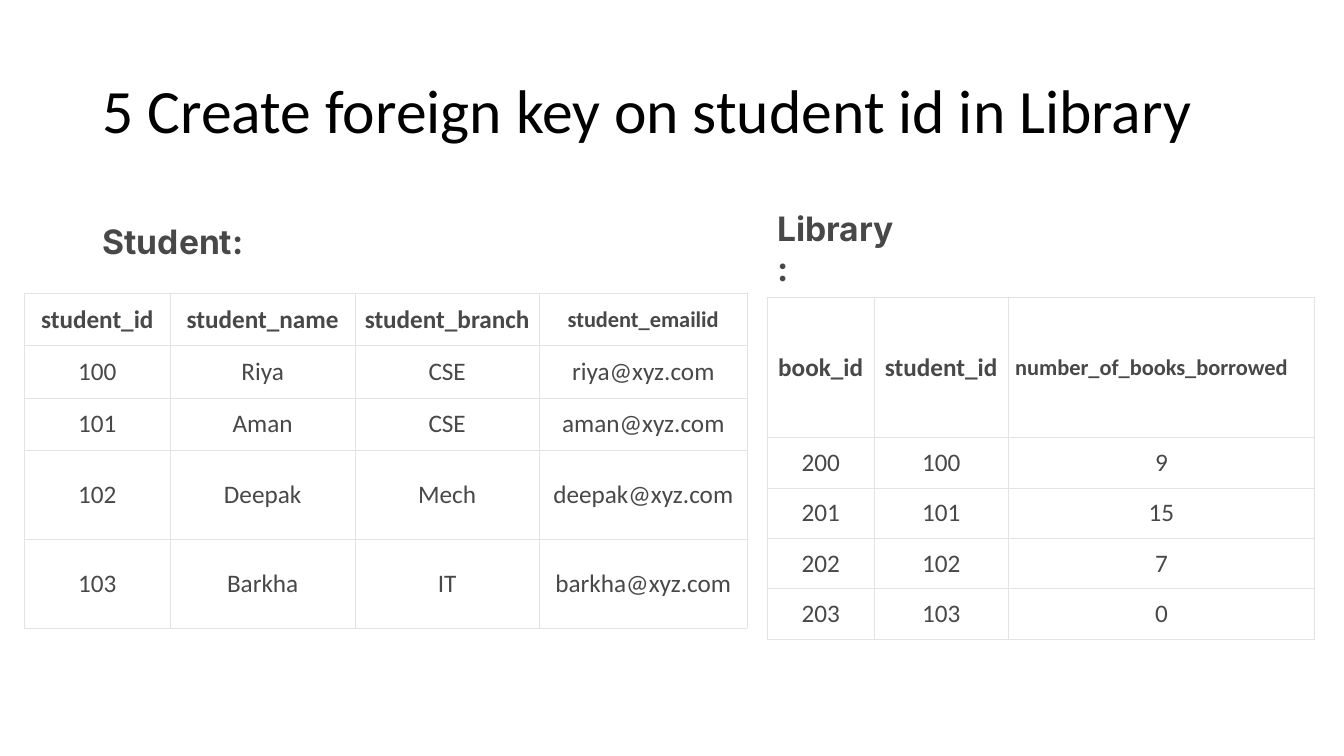
from dataclasses import dataclass

from lxml.etree import SubElement
from pptx import Presentation
from pptx.dml.color import RGBColor
from pptx.enum.text import MSO_ANCHOR as Anchor, MSO_AUTO_SIZE as AutoSize, PP_ALIGN as Align
from pptx.oxml.ns import qn
from pptx.util import Emu, Pt

PX = 9144  # 100 px to the inch


@dataclass(frozen=True)
class Theme:
    title_color: str = "000000"
    text_color: str = "484848"
    cell_fill: str = "FFFFFF"
    border_color: str = "E3E3E3"
    border_width: float = 0.5
    body_font: str = "Calibri"
    label_font: str = "Inter"
    title_size: int = 44
    label_size: int = 24
    cell_size: int = 18
    small_size: int = 16
    cell_inset: int = 7


def px(length):
    return Emu(length * PX)


def write(frame, text, *, font, size, color, bold=False, align=Align.LEFT,
          anchor=Anchor.MIDDLE, spacing=None):
    """Put one formatted paragraph into a text frame."""
    frame.word_wrap = True
    frame.vertical_anchor = anchor
    para = frame.paragraphs[0]
    para.alignment = align
    if spacing:
        para.line_spacing = spacing
    span = para.add_run()
    span.text = text
    span.font.name = font
    span.font.size = Pt(size)
    span.font.bold = bold
    span.font.color.rgb = RGBColor.from_string(color)


class SlideBuilder:
    def __init__(self, slide, theme):
        self.slide = slide
        self.theme = theme

    def text_box(self, text, place, **style):
        box = self.slide.shapes.add_textbox(*map(px, place))
        write(box.text_frame, text, **style)
        return box

    def title(self, text, place):
        theme = self.theme
        self.text_box(text, place, font=theme.body_font, size=theme.title_size,
                      color=theme.title_color, spacing=0.9)

    def label(self, text, place, anchor):
        theme = self.theme
        box = self.text_box(text, place, font=theme.label_font, size=theme.label_size,
                            color=theme.text_color, bold=True, anchor=anchor)
        box.text_frame.auto_size = AutoSize.SHAPE_TO_FIT_TEXT

    def table(self, left, top, widths, heights, records, last_header_align=Align.CENTER):
        place = (left, top, sum(widths), sum(heights))
        table = self.slide.shapes.add_table(
            len(heights), len(widths), *map(px, place)).table
        table.first_row = table.horz_banding = False
        for column, width in zip(table.columns, widths):
            column.width = px(width)
        for row, height in zip(table.rows, heights):
            row.height = px(height)
        for row_index, record in enumerate(records):
            for column_index, text in enumerate(record):
                header = row_index == 0
                last_header = header and column_index == len(widths) - 1
                self.cell(table.cell(row_index, column_index), text, bold=header,
                          size=self.theme.small_size if last_header else self.theme.cell_size,
                          align=last_header_align if last_header else Align.CENTER)

    def cell(self, cell, text, **style):
        theme = self.theme
        write(cell.text_frame, text, font=theme.body_font, color=theme.text_color, **style)
        cell.vertical_anchor = Anchor.MIDDLE
        inset = px(theme.cell_inset)
        cell.margin_left = cell.margin_right = inset
        cell.margin_top = cell.margin_bottom = inset
        cell.fill.solid()
        cell.fill.fore_color.rgb = RGBColor.from_string(theme.cell_fill)
        self.borders(cell)

    def borders(self, cell):
        properties = cell._tc.get_or_add_tcPr()
        for index, side in enumerate(("lnL", "lnR", "lnT", "lnB")):
            line = SubElement(properties, qn(f"a:{side}"), w=str(Pt(self.theme.border_width)))
            fill = SubElement(line, qn("a:solidFill"))
            SubElement(fill, qn("a:srgbClr"), val=self.theme.border_color)
            properties.insert(index, line)  # borders come before the fill


STUDENTS = [
    ("student_id", "student_name", "student_branch", "student_emailid"),
    ("100", "Riya", "CSE", "riya@xyz.com"),
    ("101", "Aman", "CSE", "aman@xyz.com"),
    ("102", "Deepak", "Mech", "deepak@xyz.com"),
    ("103", "Barkha", "IT", "barkha@xyz.com"),
]
LOANS = [
    ("book_id", "student_id", "number_of_books_borrowed"),
    ("200", "100", "9"),
    ("201", "101", "15"),
    ("202", "102", "7"),
    ("203", "103", "0"),
]


def main():
    deck = Presentation()
    deck.slide_width, deck.slide_height = px(1333), px(750)
    builder = SlideBuilder(deck.slides.add_slide(deck.slide_layouts[6]), Theme())

    # Heading
    builder.title("5 Create foreign key on student id in Library", (92, 40, 1150, 145))

    # Tables
    builder.table(24, 291, [145, 183, 183, 206], [52] * 3 + [88] * 2, STUDENTS)
    builder.table(761, 295, [106, 133, 304], [139] + [50] * 4, LOANS,
                  last_header_align=Align.LEFT)

    # Table labels
    builder.label("Student:", (92, 214, 175, 50), Anchor.MIDDLE)
    builder.label("Library:", (761, 201, 146, 50), Anchor.TOP)

    deck.save("out.pptx")


if __name__ == "__main__":
    main()
